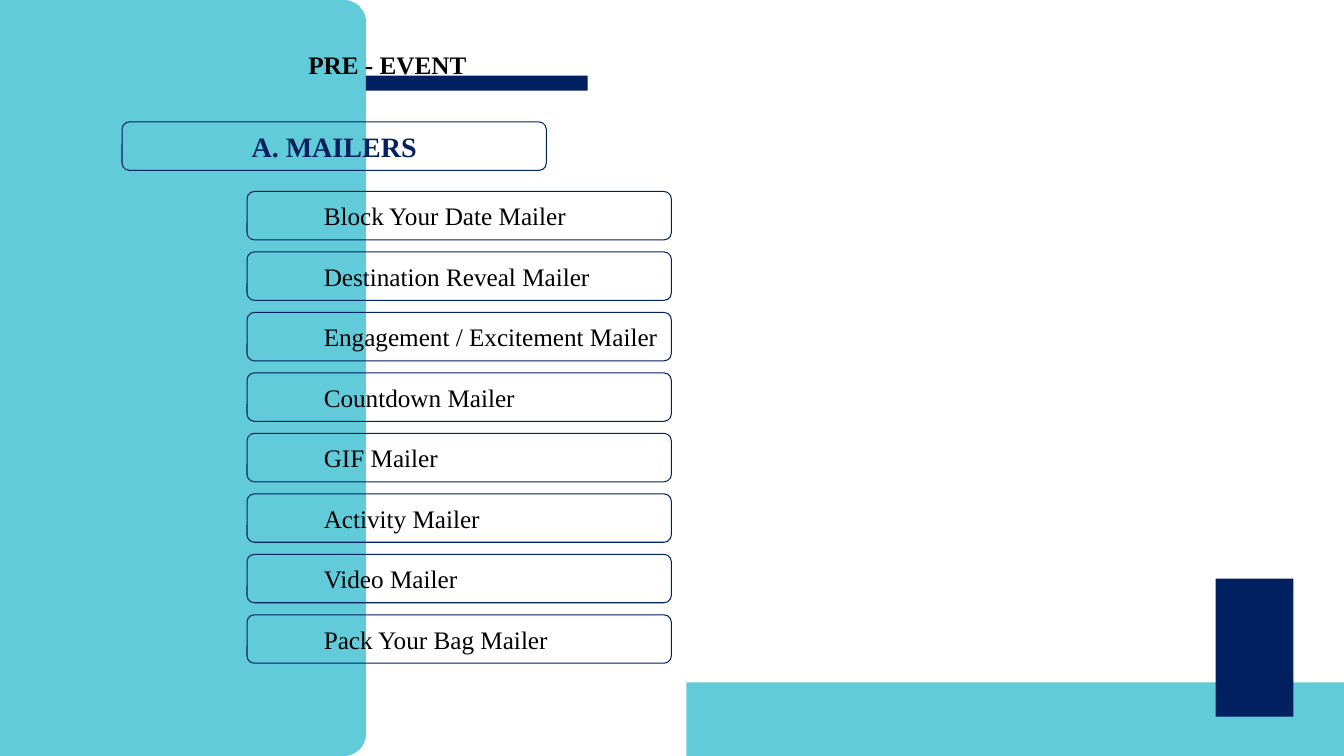
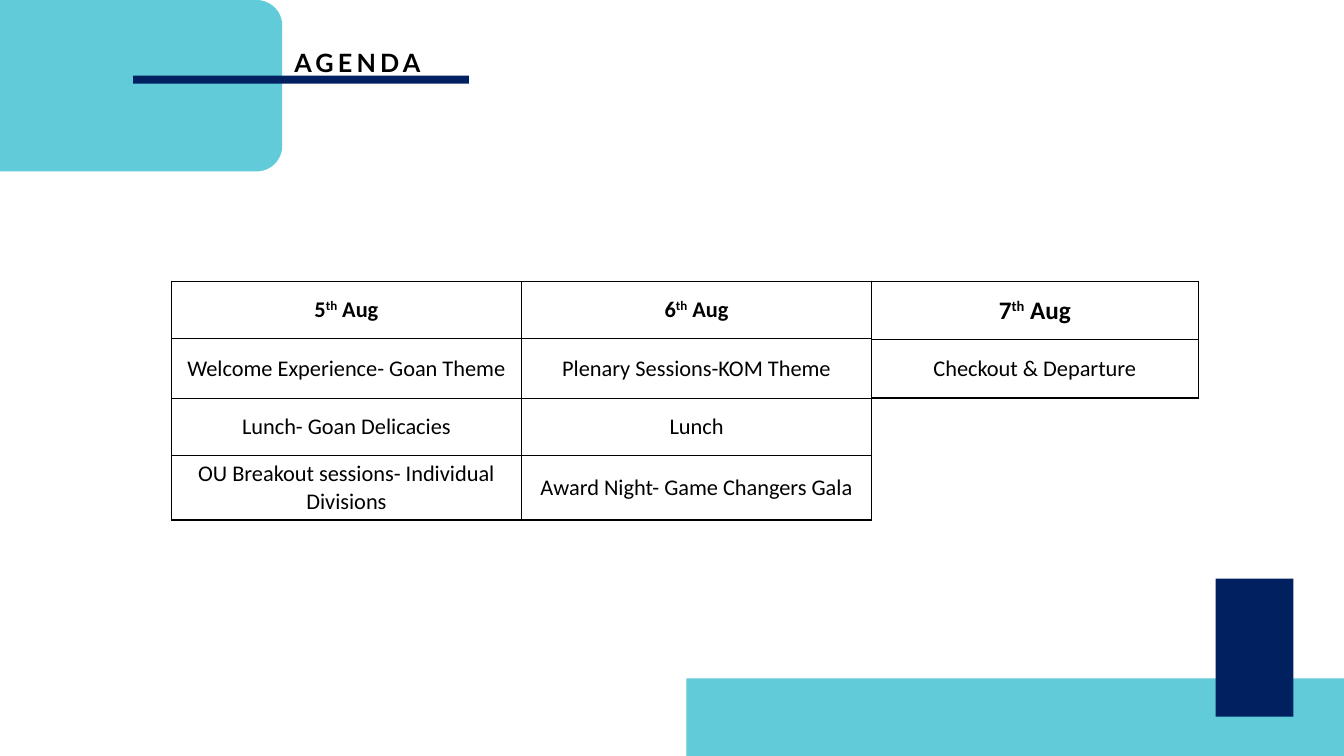
"""Build the pre-event mailer list and the agenda slide."""
from dataclasses import dataclass

from lxml import etree
from pptx import Presentation
from pptx import util as u
from pptx.dml.color import RGBColor as Rgb
from pptx.enum import shapes, text
from pptx.oxml.ns import qn

Kind = shapes.MSO_SHAPE
Align = text.PP_ALIGN
Mid = text.MSO_ANCHOR.MIDDLE
WIDE, HIGH = u.Inches(13.333), u.Inches(7.5)


@dataclass(frozen=True)
class Theme:
    """Colours, fonts and type sizes."""
    aqua: str = "61CBD9"
    navy: str = "002060"
    ink: str = "000000"
    serif: str = "Times New Roman"
    sans: str = "Lato"
    grid: str = "Calibri"
    head: int = 20
    body: int = 18
    cell: int = 16


@dataclass(frozen=True)
class Box:
    """A frame in percent of the slide's width and height."""
    x: float
    y: float
    w: float
    h: float

    def emu(self) -> tuple[int, int, int, int]:
        """Return left, top, width and height in EMU."""
        return across(self.x), down(self.y), across(self.w), down(self.h)


@dataclass(frozen=True)
class Style:
    """The look of a line of text."""
    face: str
    size: int
    tint: str
    bold: bool = False
    align: Align = Align.CENTER
    track: int = 0


@dataclass(frozen=True)
class Frame:
    """The parts of the slide frame that vary."""
    band: Box
    curve: float
    bar: Box
    foot: float


@dataclass(frozen=True)
class Plan:
    """A table's place, sizes, cell texts and header size."""
    x: float
    wide: float
    rows: tuple[float, ...]
    cells: tuple[tuple[str, ...], ...]
    head: int


T = Theme()
TAB = Box(90.45, 76.53, 5.78, 18.27)
FOOT_X = 51.07
TABLE_Y = 37.2
ITEM = Box(18.38, 25.33, 31.57, 6.4)
STEP = 8
INDENT = 5.55
MAILERS = ("Block Your Date Mailer", "Destination Reveal Mailer",
           "Engagement / Excitement Mailer", "Countdown Mailer", "GIF Mailer",
           "Activity Mailer", "Video Mailer", "Pack Your Bag Mailer")
PLANS = (
    Plan(12.75, 26.05, (7.6, 7.87, 7.6, 8.53), (
        ("5^th^ Aug", "6^th^ Aug"),
        ("Welcome Experience- Goan Theme", "Plenary Sessions-KOM Theme"),
        ("Lunch- Goan Delicacies", "Lunch"),
        ("OU Breakout sessions- Individual Divisions",
         "Award Night- Game Changers Gala")), T.cell),
    Plan(64.85, 24.3, (7.73, 7.73),
         (("7^th^ Aug",), ("Checkout & Departure",)), T.body),
)


def across(part: float) -> int:
    """Turn a percentage of the slide's width into EMU."""
    return round(WIDE * part / 100)


def down(part: float) -> int:
    """Turn a percentage of the slide's height into EMU."""
    return round(HIGH * part / 100)


def write(frame, words: str, style: Style) -> None:
    """Write one paragraph, raising the parts between carets."""
    para = frame.paragraphs[0]
    para.alignment = style.align
    font = para.font
    font.name, font.size, font.bold = style.face, u.Pt(style.size), style.bold
    font.color.rgb = Rgb.from_string(style.tint)
    for i, part in enumerate(words.split("^")):
        run = para.add_run()
        run.text = part
        props = run._r.get_or_add_rPr()
        if i % 2:
            props.set("baseline", "30000")
        if style.track:
            props.set("spc", str(style.track * 100))


def block(slide, box: Box, tint: str):
    """Draw a plain filled rectangle."""
    shape = slide.shapes.add_shape(Kind.RECTANGLE, *box.emu())
    shape.shadow.inherit = False
    shape.fill.solid()
    shape.fill.fore_color.rgb = Rgb.from_string(tint)
    shape.line.fill.background()
    return shape


def band(slide, box: Box, curve: float) -> None:
    """Draw the aqua band with its right corners rounded."""
    x, y, w, h = box.emu()
    shape = slide.shapes.add_shape(
        Kind.ROUND_2_SAME_RECTANGLE, x + (w - h) // 2, y + (h - w) // 2, h, w)
    shape.rotation = 90
    shape.adjustments[0], shape.adjustments[1] = curve, 0
    shape.shadow.inherit = False
    shape.fill.solid()
    shape.fill.fore_color.rgb = Rgb.from_string(T.aqua)
    shape.line.fill.background()


def pill(slide, box: Box, words: str, style: Style, indent: float = 0) -> None:
    """Draw an outlined rounded box with one line of text."""
    shape = slide.shapes.add_shape(Kind.ROUNDED_RECTANGLE, *box.emu())
    shape.adjustments[0] = 0.15
    shape.shadow.inherit = False
    shape.fill.background()
    shape.line.color.rgb = Rgb.from_string(T.navy)
    shape.line.width = u.Pt(0.75)
    frame = shape.text_frame
    frame.word_wrap, frame.vertical_anchor = True, Mid
    if indent:
        frame.margin_left = across(indent)
    write(frame, words, style)


def title(slide, box: Box, words: str, style: Style) -> None:
    """Add the slide's title."""
    frame = slide.shapes.add_textbox(*box.emu()).text_frame
    frame.word_wrap = True
    write(frame, words, style)


def edge(cell) -> None:
    """Give a cell thin dark borders and no fill."""
    props = cell._tc.get_or_add_tcPr()
    for side in ("lnL", "lnR", "lnT", "lnB"):
        line = etree.SubElement(props, qn(f"a:{side}"), w=str(u.Pt(1)))
        fill = etree.SubElement(line, qn("a:solidFill"))
        etree.SubElement(fill, qn("a:srgbClr"), val=T.ink)
    cell.fill.background()


def table(slide, plan: Plan) -> None:
    """Draw one table of the agenda."""
    cols = len(plan.cells[0])
    box = Box(plan.x, TABLE_Y, plan.wide * cols, sum(plan.rows))
    grid = slide.shapes.add_table(len(plan.rows), cols, *box.emu()).table
    grid.first_row = grid.horz_banding = False
    for col in grid.columns:
        col.width = across(plan.wide)
    for i, (tall, line) in enumerate(zip(plan.rows, plan.cells)):
        grid.rows[i].height = down(tall)
        style = Style(T.grid, T.cell if i else plan.head, T.ink, bold=i == 0)
        for j, words in enumerate(line):
            cell = grid.cell(i, j)
            edge(cell)
            cell.vertical_anchor = Mid
            write(cell.text_frame, words, style)


def start(deck, frame: Frame):
    """Add a blank slide with band, bar, foot and tab."""
    slide = deck.slides.add_slide(deck.slide_layouts[6])
    band(slide, frame.band, frame.curve)
    block(slide, frame.bar, T.navy)
    foot = Box(FOOT_X, 100 - frame.foot, 100 - FOOT_X, frame.foot)
    block(slide, foot, T.aqua)
    block(slide, TAB, T.navy)
    return slide


def mail(deck) -> None:
    """Build the mailer slide."""
    slide = start(deck, Frame(Box(0, 0, 27.23, 100), 0.06,
                              Box(27.23, 10, 16.5, 2), 9.73))
    pill(slide, Box(9.08, 16.13, ITEM.w, ITEM.h), "A. MAILERS",
         Style(T.serif, T.head, T.navy, bold=True))
    style = Style(T.serif, T.body, T.ink, align=Align.LEFT)
    for i, name in enumerate(MAILERS):
        box = Box(ITEM.x, ITEM.y + i * STEP, ITEM.w, ITEM.h)
        pill(slide, box, name, style, INDENT)
    title(slide, Box(22.2, 5.87, 14.1, 5.33), "PRE - EVENT",
          Style(T.serif, T.body, T.ink, bold=True, align=Align.LEFT))


def agenda(deck) -> None:
    """Build the agenda slide."""
    slide = start(deck, Frame(Box(0, 0, 21, 22.67), 0.15,
                              Box(9.9, 10, 25, 1.07), 10.27))
    title(slide, Box(18.23, 5.6, 16.73, 5.33), "AGENDA",
          Style(T.sans, T.body, T.ink, bold=True, track=3))
    for plan in PLANS:
        table(slide, plan)


def main() -> None:
    """Build and save the deck."""
    deck = Presentation()
    deck.slide_width, deck.slide_height = WIDE, HIGH
    mail(deck)
    agenda(deck)
    deck.save("out.pptx")


if __name__ == "__main__":
    main()
